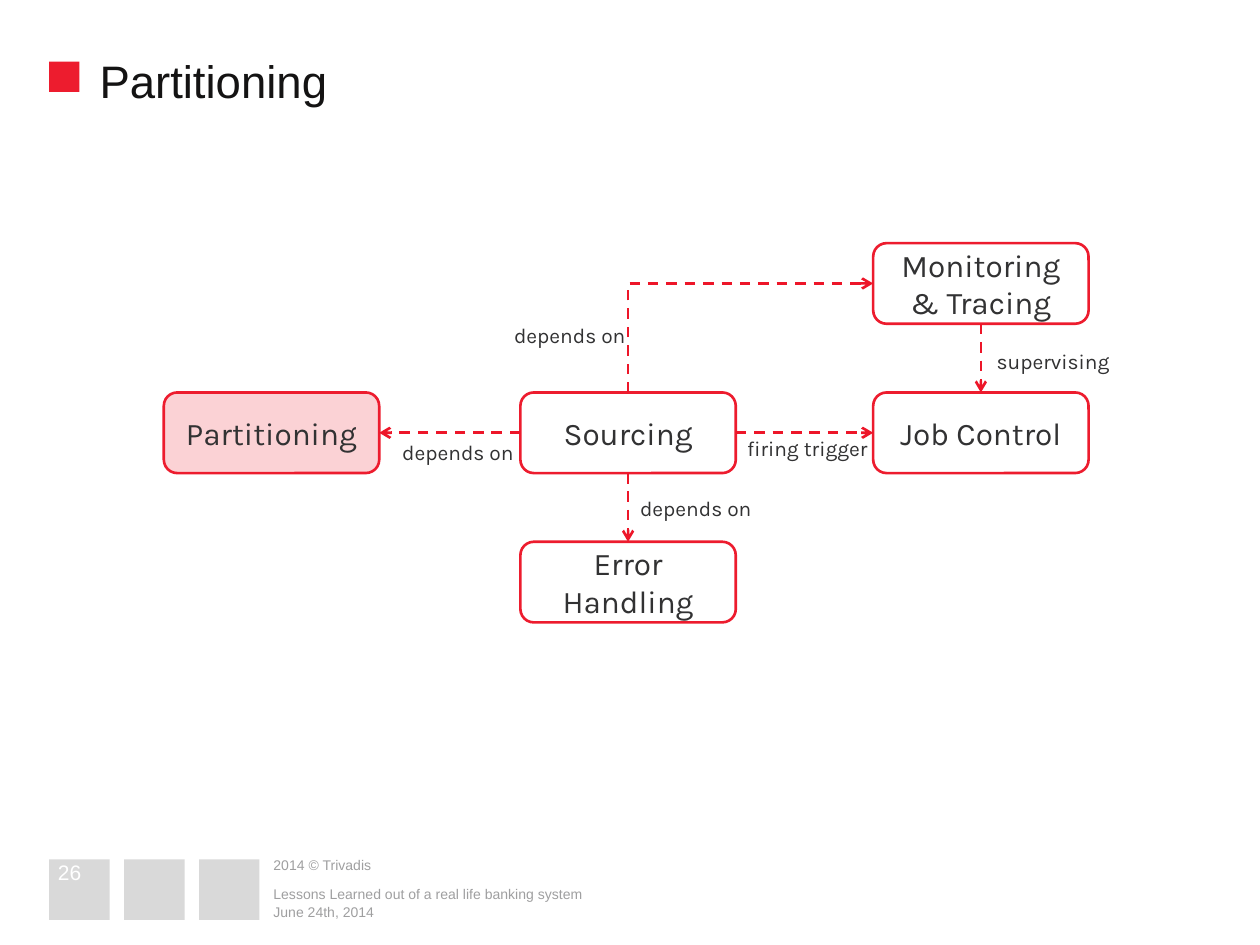
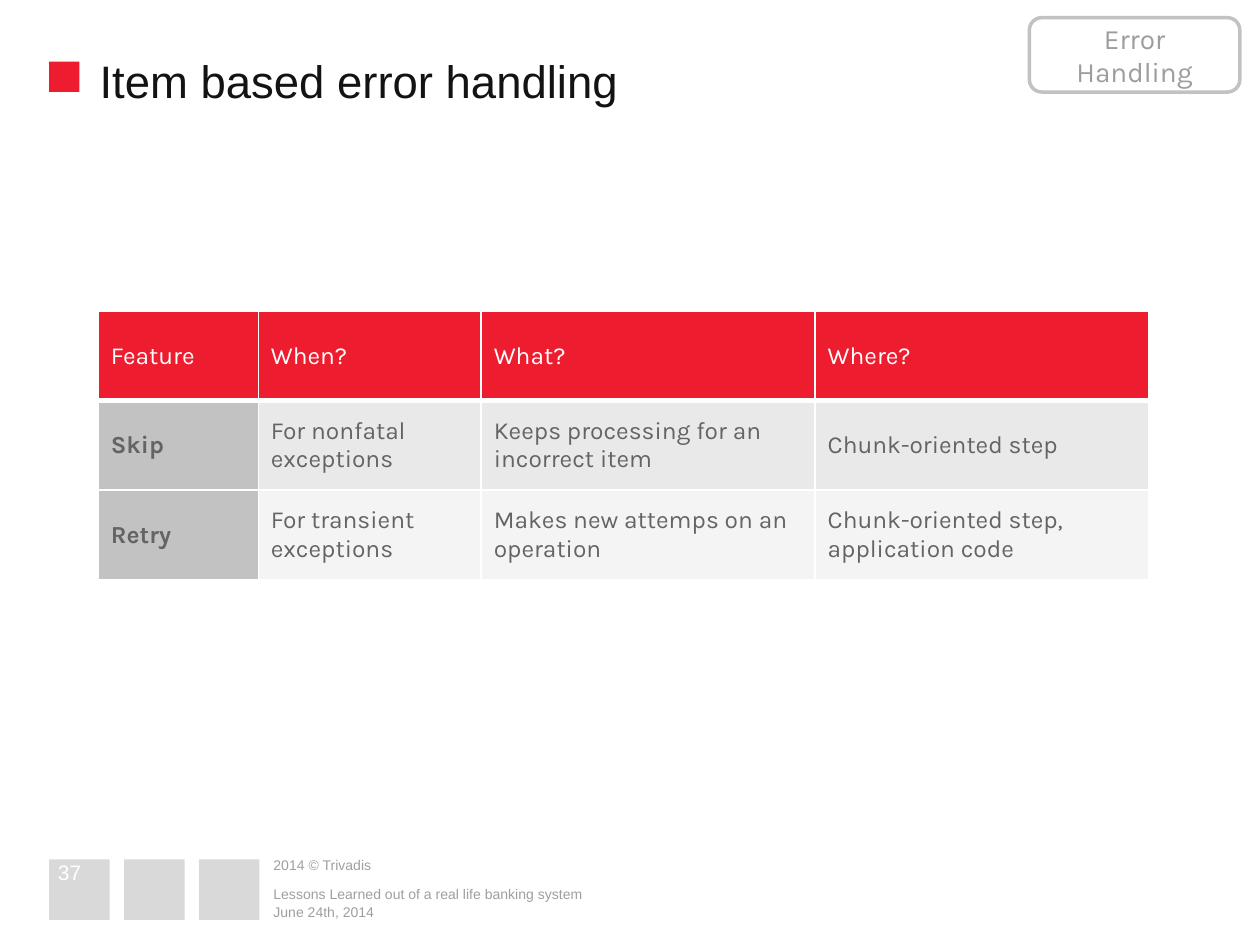
from lxml.etree import SubElement
from pptx import Presentation
from pptx.dml.color import RGBColor
from pptx.enum.dml import MSO_LINE
from pptx.enum.shapes import MSO_CONNECTOR, MSO_SHAPE
from pptx.enum.text import MSO_ANCHOR, MSO_AUTO_SIZE, PP_ALIGN
from pptx.oxml.ns import qn
from pptx.util import Inches, Pt

# Shared style
RED, ARROW_RED, PINK, WHITE = "ED1C2E", "ED1629", "FBD2D5", "FFFFFF"
TITLE_INK, INK, TABLE_INK, FOOTER_INK = "141313", "323233", "636466", "9F9FA0"
SQUARE_GREY, MID_GREY, BADGE_INK = "D9D9D9", "C2C2C2", "9D9D9D"
HEAD_FONT, BODY_FONT = "Arial", "Karla"
TOP, LEFT, BOTTOM, RIGHT = range(4)

# Diagram grid
COL_X = (1.3, 4.13, 6.93)
ROW_Y, ROW_PITCH = 1.93, 1.185
BOX_W, BOX_H = 1.71, 0.64


def rgb(color):
    return RGBColor.from_string(color)


def add_run(p, text, size, color, font, bold=False):
    r = p.add_run()
    r.text = text
    r.font.size, r.font.name, r.font.bold = Pt(size), font, bold
    r.font.color.rgb = rgb(color)


def frame(tf, anchor, inset=0):
    tf.word_wrap = True
    tf.vertical_anchor = anchor
    tf.margin_left = tf.margin_right = tf.margin_bottom = Inches(0)
    tf.margin_top = Inches(inset)


def add_text(s, text, x, y, w, h, size, color, font, anchor=MSO_ANCHOR.TOP,
             align=PP_ALIGN.LEFT):
    tf = s.shapes.add_textbox(*map(Inches, (x, y, w, h))).text_frame
    frame(tf, anchor)
    tf.paragraphs[0].alignment = align
    add_run(tf.paragraphs[0], text, size, color, font)
    return tf


def add_square(s, x, y, side, color):
    sp = s.shapes.add_shape(MSO_SHAPE.RECTANGLE, *map(Inches, (x, y, side, side)))
    sp.shadow.inherit = False
    sp.fill.solid()
    sp.fill.fore_color.rgb = rgb(color)
    sp.line.fill.background()


def add_box(s, text, x, y, w, h, fill, line, width, size, color):
    sp = s.shapes.add_shape(MSO_SHAPE.ROUNDED_RECTANGLE, *map(Inches, (x, y, w, h)))
    sp.shadow.inherit = False
    if fill:
        sp.fill.solid()
        sp.fill.fore_color.rgb = rgb(fill)
    else:
        sp.fill.background()
    sp.line.color.rgb, sp.line.width = rgb(line), Pt(width)
    tf = sp.text_frame
    tf.word_wrap, tf.vertical_anchor = True, MSO_ANCHOR.MIDDLE
    tf.paragraphs[0].alignment = PP_ALIGN.CENTER
    add_run(tf.paragraphs[0], text, size, color, BODY_FONT)
    return sp


def add_component(s, text, col, row, fill=WHITE):
    return add_box(s, text, COL_X[col], ROW_Y + row * ROW_PITCH, BOX_W, BOX_H,
                   fill, RED, 1.5, 18, INK)


def add_label(s, text, x, y, w=1.06, align=PP_ALIGN.LEFT):
    tf = add_text(s, text, x, y, w, 0.2, 12, INK, BODY_FONT, align=align)
    tf.auto_size = MSO_AUTO_SIZE.SHAPE_TO_FIT_TEXT


def add_arrow(s, start, start_side, end, end_side, kind=MSO_CONNECTOR.STRAIGHT):
    cxn = s.shapes.add_connector(kind, 0, 0, 0, 0)
    cxn.begin_connect(start, start_side)
    cxn.end_connect(end, end_side)
    cxn.line.color.rgb, cxn.line.width = rgb(ARROW_RED), Pt(1.5)
    cxn.line.dash_style = MSO_LINE.DASH
    sp_pr = cxn._element.spPr
    SubElement(sp_pr.find(qn("a:ln")), qn("a:tailEnd"), type="arrow")
    SubElement(sp_pr, qn("a:effectLst"))
    return cxn


def add_up_right_arrow(s, start, end):
    """One-corner arrow: up from the top of start, then right to the side of end."""
    cxn = add_arrow(s, start, TOP, end, LEFT, MSO_CONNECTOR.ELBOW)
    across, up = cxn.end_x - cxn.begin_x, cxn.begin_y - cxn.end_y
    mid_x, mid_y = cxn.begin_x + across // 2, cxn.end_y + up // 2
    # A quarter turn swaps width and height
    cxn.left, cxn.top = mid_x - up // 2, mid_y - across // 2
    cxn.width, cxn.height = up, across
    sp_pr = cxn._element.spPr
    xfrm = sp_pr.find(qn("a:xfrm"))
    for name, value in (("rot", "5400000"), ("flipH", "1"), ("flipV", "1")):
        xfrm.set(name, value)
    sp_pr.find(qn("a:prstGeom")).set("prst", "bentConnector2")


def set_borders(cell, **widths):
    tc_pr = cell._tc.get_or_add_tcPr()
    for side in "LRTB":
        ln = SubElement(tc_pr, qn("a:ln" + side), w=str(Pt(widths.get(side, 1))))
        SubElement(SubElement(ln, qn("a:solidFill")), qn("a:srgbClr"), val=WHITE)


def add_feature_table(s, rows, x, y, widths, row_h):
    table = s.shapes.add_table(len(rows), len(widths), Inches(x), Inches(y),
                               Inches(sum(widths)), Inches(row_h * len(rows))).table
    table.first_row = table.horz_banding = False
    for column, width in zip(table.columns, widths):
        column.width = Inches(width)
    for i, row in enumerate(rows):
        for j, text in enumerate(row):
            cell = table.cell(i, j)
            feature = i > 0 and j == 0
            set_borders(cell, T=3 if i == 1 else 1, B=3 if i == 0 else 1)
            cell.fill.solid()
            fill = MID_GREY if feature else (RED, "E9E9E9", "F4F4F4")[i]
            cell.fill.fore_color.rgb = rgb(fill)
            cell.vertical_anchor = MSO_ANCHOR.MIDDLE
            add_run(cell.text_frame.paragraphs[0], text, 14,
                    TABLE_INK if i else WHITE, BODY_FONT, feature)


def new_slide(prs, title, number):
    s = prs.slides.add_slide(prs.slide_layouts[5])
    # Footer squares, number and lines
    for i in range(3):
        add_square(s, 0.39 + i * 0.595, 6.82, 0.48, SQUARE_GREY)
    add_text(s, number, 0.46, 6.84, 0.48, 0.17, 12, WHITE, HEAD_FONT, MSO_ANCHOR.MIDDLE)
    for text, y, w, h, anchor in (
            ("2014 © Trivadis", 6.79, 1.35, 0.15, MSO_ANCHOR.MIDDLE),
            ("Lessons Learned out of a real life banking system", 6.98, 5.36, 0.18,
             MSO_ANCHOR.BOTTOM),
            ("June 24th, 2014", 7.12, 5.36, 0.18, MSO_ANCHOR.BOTTOM)):
        add_text(s, text, 2.17, y, w, h, 8, FOOTER_INK, HEAD_FONT, anchor)
    # Title with its red marker
    add_square(s, 0.39, 0.49, 0.24, RED)
    sp = s.shapes.title
    sp.left, sp.top, sp.width, sp.height = map(Inches, (0.79, 0.37, 8.95, 0.4))
    tf = sp.text_frame
    frame(tf, MSO_ANCHOR.TOP, inset=0.05)
    tf.auto_size = MSO_AUTO_SIZE.NONE
    tf.paragraphs[0].alignment = PP_ALIGN.LEFT
    add_run(tf.paragraphs[0], title, 26, TITLE_INK, HEAD_FONT)
    return s


def partitioning_slide(prs):
    s = new_slide(prs, "Partitioning", "26")
    # Components
    errors = add_component(s, "Error Handling", 1, 2, fill=None)
    monitoring = add_component(s, "Monitoring & Tracing", 2, 0)
    jobs = add_component(s, "Job Control", 2, 1)
    sourcing = add_component(s, "Sourcing", 1, 1)
    partitioning = add_component(s, "Partitioning", 0, 1, PINK)
    # Relations
    add_arrow(s, sourcing, LEFT, partitioning, RIGHT)
    add_up_right_arrow(s, sourcing, monitoring)
    add_arrow(s, sourcing, BOTTOM, errors, TOP)
    add_arrow(s, sourcing, RIGHT, jobs, LEFT)
    add_arrow(s, monitoring, BOTTOM, jobs, TOP)
    # Relation names
    add_label(s, "depends on", 5.08, 3.93)
    add_label(s, "depends on", 2.8, 3.49, 1.67, PP_ALIGN.CENTER)
    add_label(s, "depends on", 4.08, 2.56)
    add_label(s, "firing trigger", 5.93, 3.46)
    add_label(s, "supervising", 7.91, 2.77)


def error_handling_slide(prs):
    s = new_slide(prs, "Item based error handling", "37")
    add_feature_table(s, (
        ("Feature", "When?", "What?", "Where?"),
        ("Skip", "For nonfatal exceptions", "Keeps processing for an incorrect item",
         "Chunk-oriented step"),
        ("Retry", "For transient exceptions", "Makes new attemps on an operation",
         "Chunk-oriented step, application code"),
    ), 0.78, 2.47, (1.27, 1.77, 2.65, 2.65), 0.71)
    # Topic badge
    add_box(s, "Error Handling", 8.17, 0.14, 1.67, 0.59, WHITE, MID_GREY, 2, 16, BADGE_INK)


def main():
    prs = Presentation()
    prs.slide_width, prs.slide_height = Inches(10), Inches(7.5)
    partitioning_slide(prs)
    error_handling_slide(prs)
    prs.save("out.pptx")


if __name__ == "__main__":
    main()
